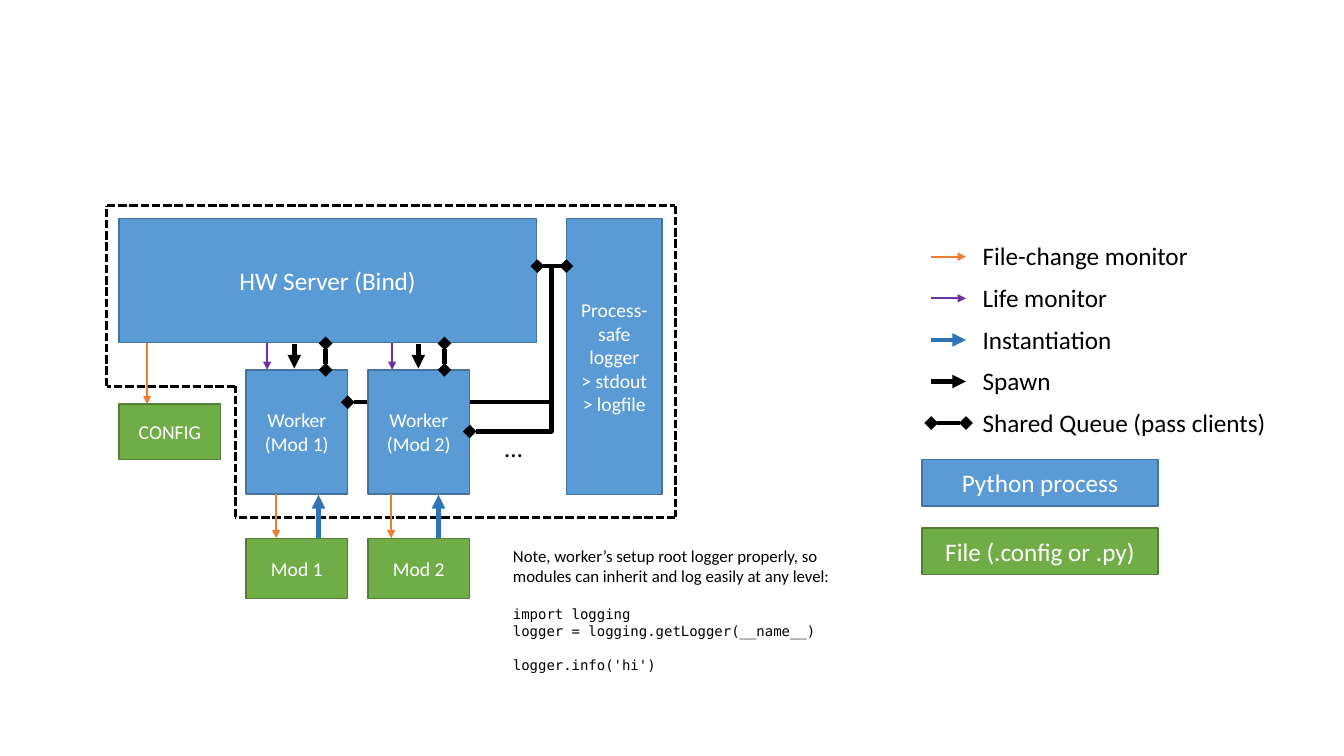
import dataclasses
import itertools

import lxml.etree
import pptx
import pptx.dml.color
import pptx.enum.dml
import pptx.enum.shapes
import pptx.enum.text
import pptx.oxml.ns
import pptx.util

Pt = pptx.util.Pt
qn = pptx.oxml.ns.qn


@dataclasses.dataclass(frozen=True)
class Theme:
    """Colours, fonts and sizes of the slide."""
    process: tuple = ("5B9BD5", "43739E")
    file: tuple = ("70AD47", "538035")
    white: str = "FFFFFF"
    black: str = "000000"
    orange: str = "ED7D31"
    purple: str = "7030A0"
    blue: str = "2E75B6"
    font: str = "Calibri"
    mono: str = "DejaVu Sans Mono"
    large: float = 18
    medium: float = 14
    note: float = 12
    code: float = 10
    thin: float = 1.25
    thick: float = 3.25
    dash: float = 2


T = Theme()
# Line kinds: colour, width, head end, tail end
FILE_CHANGE = (T.orange, T.thin, None, "triangle")
LIFE = (T.purple, T.thin, None, "triangle")
INSTANTIATION = (T.blue, T.thick, None, "triangle")
SPAWN = (T.black, T.thick, None, "triangle")
QUEUE = (T.black, T.thick, "diamond", "diamond")
LOG_QUEUE = (T.black, T.thick, None, "diamond")
BORDER = (T.black, T.dash, None, None)


def rgb(value):
    """Turn a hex string into a colour."""
    return pptx.dml.color.RGBColor.from_string(value)


def style(p, size, color, name=T.font):
    """Set the font of a paragraph."""
    p.font.size = Pt(size)
    p.font.name = name
    p.font.color.rgb = rgb(color)


def box(shapes, text, x, y, w, h, colors, size=T.medium):
    """Add a filled rectangle with a centred label."""
    sp = shapes.add_shape(pptx.enum.shapes.MSO_SHAPE.RECTANGLE,
                          Pt(x), Pt(y), Pt(w), Pt(h))
    sp.shadow.inherit = False
    sp.fill.solid()
    sp.fill.fore_color.rgb = rgb(colors[0])
    sp.line.color.rgb = rgb(colors[1])
    sp.line.width = Pt(1)
    tf = sp.text_frame
    tf.word_wrap = True
    tf.vertical_anchor = pptx.enum.text.MSO_ANCHOR.MIDDLE
    p = tf.paragraphs[0]
    p.text = text
    p.alignment = pptx.enum.text.PP_ALIGN.CENTER
    style(p, size, T.white)


def text_box(shapes, x, y, w, h, wrap=False):
    """Add an empty text box and return its text frame."""
    tf = shapes.add_textbox(Pt(x), Pt(y), Pt(w), Pt(h)).text_frame
    tf.word_wrap = wrap
    tf.auto_size = pptx.enum.text.MSO_AUTO_SIZE.SHAPE_TO_FIT_TEXT
    return tf


def label(shapes, text, x, y, w):
    """Add a one-line black label."""
    p = text_box(shapes, x, y, w, 29).paragraphs[0]
    p.text = text
    style(p, T.large, T.black)


def line(shapes, x1, y1, x2, y2, kind, elbow=False, dashed=False):
    """Add a connector; an elbow runs vertically first, then sideways."""
    types = pptx.enum.shapes.MSO_CONNECTOR
    color, width, head, tail = kind
    c = shapes.add_connector(types.ELBOW if elbow else types.STRAIGHT,
                             Pt(x1), Pt(y1), Pt(x2), Pt(y2))
    c.line.color.rgb = rgb(color)
    c.line.width = Pt(width)
    if dashed:
        c.line.dash_style = pptx.enum.dml.MSO_LINE.SQUARE_DOT
    pr = c._element.spPr
    ln = pr.find(qn("a:ln"))
    for tag, end in (("a:headEnd", head), ("a:tailEnd", tail)):
        if end:
            lxml.etree.SubElement(ln, qn(tag), type=end)
    lxml.etree.SubElement(pr, qn("a:effectLst"))
    if elbow:
        geom = pr.find(qn("a:prstGeom"))
        av = geom.find(qn("a:avLst"))
        if av is None:
            av = lxml.etree.SubElement(geom, qn("a:avLst"))
        lxml.etree.SubElement(av, qn("a:gd"), name="adj1", fmla="val 0")


def border(shapes):
    """Draw the dashed outline around the processes."""
    corners = [(76.3, 146.9), (482.4, 146.9), (482.4, 369.4), (168, 369.4),
               (168, 275.8), (76.3, 275.8), (76.3, 146.9)]
    group = shapes.add_group_shape()
    for a, b in itertools.pairwise(corners):
        line(group.shapes, *a, *b, BORDER, dashed=True)


def worker(shapes, number, x):
    """Add a worker process and its module file."""
    box(shapes, f"Worker (Mod {number})", x, 264.2, 72.7, 88.6, T.process)
    box(shapes, f"Mod {number}", x, 384.5, 72.7, 43.2, T.file)


def worker_links(shapes, life, spawn, queue, change, instance):
    """Link a worker to the server above and its module below."""
    line(shapes, change, 352.8, change, 384.5, FILE_CHANGE)
    line(shapes, instance, 384.5, instance, 353.5, INSTANTIATION)
    line(shapes, life, 244.8, life, 264.2, LIFE)
    line(shapes, spawn, 246, spawn, 263.2, SPAWN)
    line(shapes, queue, 245.3, queue, 264.2, QUEUE)


def legend(shapes):
    """Add the key to lines and boxes."""
    rows = [("File-change monitor", FILE_CHANGE, 161.3),
            ("Life monitor", LIFE, 104.4),
            ("Instantiation", INSTANTIATION, 108),
            ("Spawn", SPAWN, 63.4),
            ("Shared Queue (pass clients)", QUEUE, 219.6)]
    for i, (text, kind, w) in enumerate(rows):
        y = 183.4 + 29.7 * i
        line(shapes, 665.2, y, 690, y, kind)
        label(shapes, text, 694.8, y - 15, w)
    box(shapes, "Python process", 658.6, 328.4, 168.5, 33.1,
        T.process, T.large)
    box(shapes, "File (.config or .py)", 658.6, 377.3, 168.5, 33.1,
        T.file, T.large)


def note(shapes):
    """Add the logging note with its code sample."""
    tf = text_box(shapes, 359.3, 385.9, 246.2, 99.4, wrap=True)
    rows = [("Note, worker’s setup root logger properly, so modules can "
             "inherit and log easily at any level:", T.note, T.font, 0),
            ("import logging", T.code, T.mono, 14.6),
            ("logger = logging.getLogger(__name__)", T.code, T.mono, 0),
            ("logger.info('hi')", T.code, T.mono, 11.7)]
    for i, (text, size, name, gap) in enumerate(rows):
        p = tf.add_paragraph() if i else tf.paragraphs[0]
        p.text = text
        p.space_before = Pt(gap)
        style(p, size, T.black, name)


def main():
    """Build the slide and save it."""
    prs = pptx.Presentation()
    prs.slide_width, prs.slide_height = Pt(960), Pt(540)
    s = prs.slides.add_slide(prs.slide_layouts[6]).shapes

    worker(s, 1, 175.7)
    line(s, 393.8, 190.1, 248.4, 287.3, LOG_QUEUE, elbow=True)
    border(s)
    box(s, "HW Server (Bind)", 85, 156.2, 298.1, 88.6, T.process, T.large)
    worker(s, 2, 262.8)
    box(s, "CONFIG", 85, 288.7, 72.7, 39.6, T.file)
    label(s, "…", 353.5, 305.3, 27.4)
    line(s, 105.1, 244.8, 105.1, 288.7, FILE_CHANGE)
    worker_links(s, 190.8, 210.2, 232.6, 197.3, 227.5)
    worker_links(s, 280.1, 298.8, 317.5, 279.4, 313.2)
    legend(s)
    box(s, "Process-safe logger\v> stdout\v> logfile",
        404.6, 156.2, 68.4, 197.3, T.process)
    line(s, 383.8, 190.1, 404.6, 190.1, QUEUE)
    line(s, 393.8, 190.1, 335.5, 308.2, LOG_QUEUE, elbow=True)
    note(s)
    prs.save("out.pptx")


main()
